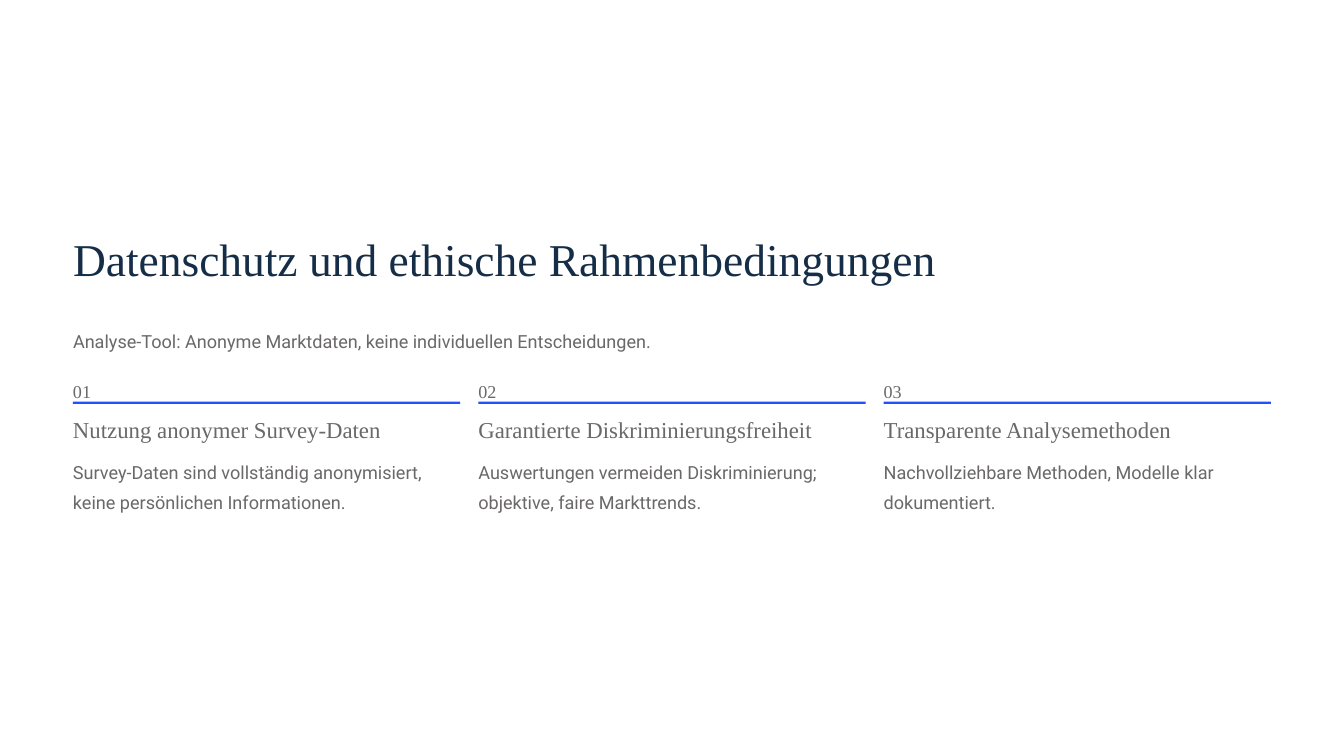
from pptx import Presentation
from pptx.dml.color import RGBColor
from pptx.enum.shapes import MSO_SHAPE
from pptx.enum.text import MSO_ANCHOR, PP_ALIGN
from pptx.util import Pt

RECTANGLE = MSO_SHAPE.RECTANGLE
TOP = MSO_ANCHOR.TOP
LEFT = PP_ALIGN.LEFT

HEADLINE = "Datenschutz und ethische Rahmenbedingungen"
SUMMARY = "Analyse-Tool: Anonyme Marktdaten, keine individuellen Entscheidungen."
PRINCIPLES = [
    ("Nutzung anonymer Survey-Daten",
     "Survey-Daten sind vollständig anonymisiert, keine persönlichen Informationen."),
    ("Garantierte Diskriminierungsfreiheit",
     "Auswertungen vermeiden Diskriminierung; objektive, faire Markttrends."),
    ("Transparente Analysemethoden",
     "Nachvollziehbare Methoden, Modelle klar dokumentiert."),
]

SERIF, SANS = "Times New Roman", "Roboto"
NAVY, GREY, BLUE, WHITE = "152D47", "6A6868", "2150FE", "FFFFFF"
STYLES = {
    "headline": (SERIF, 39, 48.5, NAVY),
    "summary": (SANS, 15.5, 25, GREY),
    "number": (SERIF, 15.5, 25, GREY),
    "heading": (SERIF, 19.5, 24, GREY),
    "body": (SANS, 15.5, 25, GREY),
}

SLIDE_WIDTH, SLIDE_HEIGHT = 1152, 648
MARGIN = 62.6
GAP = 15.5
CONTENT_WIDTH = SLIDE_WIDTH - 2 * MARGIN
COLUMN_WIDTH = (CONTENT_WIDTH - GAP * (len(PRINCIPLES) - 1)) / len(PRINCIPLES)


def color(hex_value):
    return RGBColor.from_string(hex_value)


def assign(target, values):
    for name, value in values.items():
        setattr(target, name, value)


def add_text(slide, text, style, left, top, width, height):
    font_name, size, spacing, hex_value = STYLES[style]
    frame = slide.shapes.add_textbox(Pt(left), Pt(top), Pt(width), Pt(height)).text_frame
    assign(frame, {
        "margin_left": 0, "margin_top": 0, "margin_right": 0, "margin_bottom": 0,
        "word_wrap": True, "vertical_anchor": TOP,
    })
    paragraph = frame.paragraphs[0]
    assign(paragraph, {"alignment": LEFT, "line_spacing": Pt(spacing)})
    run = paragraph.add_run()
    run.text = text
    assign(run.font, {"name": font_name, "size": Pt(size)})
    run.font.color.rgb = color(hex_value)


def add_rule(slide, left, top, width, height):
    rule = slide.shapes.add_shape(RECTANGLE, Pt(left), Pt(top), Pt(width), Pt(height))
    rule.shadow.inherit = False
    rule.fill.solid()
    rule.fill.fore_color.rgb = color(BLUE)
    rule.line.fill.background()


def main():
    presentation = Presentation()
    assign(presentation, {"slide_width": Pt(SLIDE_WIDTH), "slide_height": Pt(SLIDE_HEIGHT)})
    slide = presentation.slides.add_slide(presentation.slide_layouts[6])
    slide.background.fill.solid()
    slide.background.fill.fore_color.rgb = color(WHITE)

    add_text(slide, HEADLINE, "headline", MARGIN, 196.6, CONTENT_WIDTH, 49)
    add_text(slide, SUMMARY, "summary", MARGIN, 277.2, CONTENT_WIDTH, 25)
    for index, (heading, body) in enumerate(PRINCIPLES):
        left = MARGIN + index * (COLUMN_WIDTH + GAP)
        add_text(slide, f"{index + 1:02d}", "number", left, 319.7, 16, 19.4)
        add_rule(slide, left, 344.2, COLUMN_WIDTH, 2)
        add_text(slide, heading, "heading", left, 355.7, COLUMN_WIDTH, 24.5)
        add_text(slide, body, "body", left, 389.5, COLUMN_WIDTH, 50)
    presentation.save("out.pptx")


if __name__ == "__main__":
    main()
